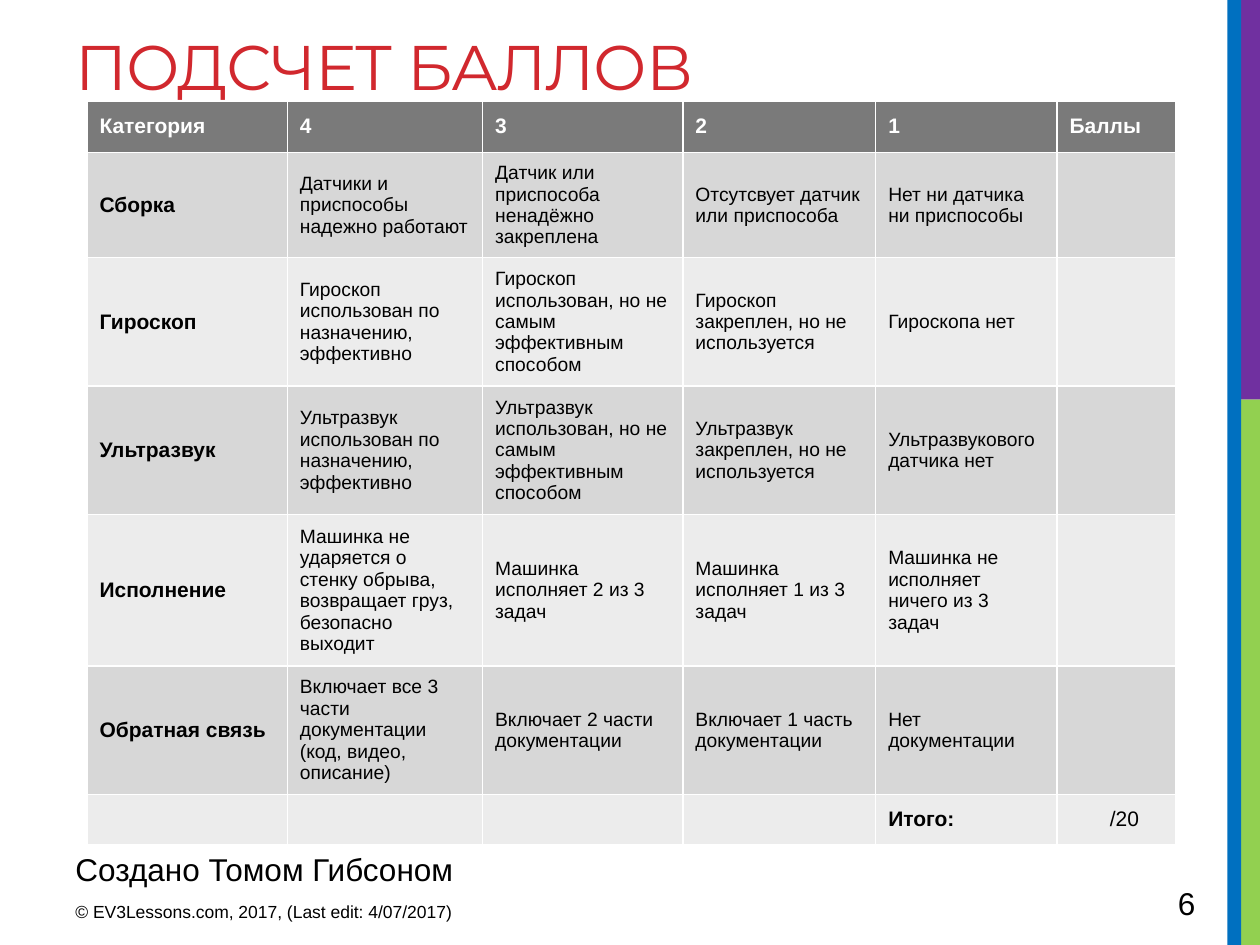
"""Build the scoring rubric slide."""
from typing import NamedTuple

from pptx import Presentation
from pptx.dml.color import RGBColor as Rgb
from pptx.enum.shapes import MSO_SHAPE as Shape
from pptx.enum.text import MSO_ANCHOR as Anchor, MSO_AUTO_SIZE as Fit, PP_ALIGN as Align
from pptx.util import Inches, Pt

HUES = {
    "blue": "0070C0", "green": "92D050", "violet": "7030A0", "red": "D1282E",
    "black": "000000", "white": "FFFFFF",
    "head": "7A7A7A", "dark": "D7D7D7", "light": "ECECEC",
}


class Box(NamedTuple):
    left: float
    top: float
    width: float
    height: float

    def place(self) -> tuple:
        return tuple(Inches(side) for side in self)


class Bar(NamedTuple):
    box: Box
    hue: str


class Note(NamedTuple):
    box: Box
    text: str
    size: int


BARS = [
    Bar(Box(9.84, 3.17, 0.16, 4.33), "green"),
    Bar(Box(9.8, 0, 0.2, 3.17), "violet"),
    Bar(Box(9.74, 0, 0.11, 7.5), "blue"),
]
NOTES = [
    Note(Box(0.5, 7.1, 3.75, 0.31), "© EV3Lessons.com, 2017, (Last edit: 4/07/2017)", 10),
    Note(Box(9.25, 6.97, 0.69, 0.4), "6", 18),
    Note(Box(0.5, 6.7, 6.99, 0.4), "Создано Томом Гибсоном", 18),
]
GRID = Box(0.69, 0.8, 8.64, 5.9)
WIDTHS = [1.59, 1.55, 1.59, 1.53, 1.44, 0.94]
HEIGHTS = [0.41, 0.83, 1.02, 1.02, 1.2, 1.02, 0.4]
ROWS = [
    ["Категория", "4", "3", "2", "1", "Баллы"],
    ["Сборка", "Датчики и приспособы надежно работают",
     "Датчик или приспособа ненадёжно закреплена",
     "Отсутсвует датчик или приспособа", "Нет ни датчика ни приспособы", ""],
    ["Гироскоп", "Гироскоп использован по назначению, эффективно",
     "Гироскоп использован, но не самым эффективным способом",
     "Гироскоп закреплен, но не используется", "Гироскопа нет", ""],
    ["Ультразвук", "Ультразвук использован по назначению, эффективно",
     "Ультразвук использован, но не самым эффективным способом",
     "Ультразвук закреплен, но не используется", "Ультразвукового датчика нет", ""],
    ["Исполнение",
     "Машинка не ударяется о стенку обрыва, возвращает груз, безопасно выходит",
     "Машинка исполняет 2 из 3 задач", "Машинка исполняет 1 из 3 задач",
     "Машинка не исполняет ничего из 3 задач", ""],
    ["Обратная связь", "Включает все 3 части документации (код, видео, описание)",
     "Включает 2 части документации", "Включает 1 часть документации",
     "Нет документации", ""],
    ["", "", "", "", "Итого:", "/20"],
]


def tint(hue: str) -> Rgb:
    return Rgb.from_string(HUES[hue])


def style(para, size: int, hue: str = "black", bold: bool = False,
          face: str = "Arial") -> None:
    font = para.font
    font.name, font.size, font.bold = face, Pt(size), bold
    font.color.rgb = tint(hue)


def draw_bar(slide, bar: Bar) -> None:
    rect = slide.shapes.add_shape(Shape.RECTANGLE, *bar.box.place())
    rect.shadow.inherit = False
    rect.fill.solid()
    rect.fill.fore_color.rgb = tint(bar.hue)
    rect.line.fill.background()


def draw_note(slide, note: Note) -> None:
    frame = slide.shapes.add_textbox(*note.box.place()).text_frame
    frame.word_wrap = True
    frame.text = note.text
    style(frame.paragraphs[0], note.size)


def draw_title(slide, text: str) -> None:
    title = slide.shapes.title
    title.left, title.top, title.width, title.height = Box(0.5, 0.17, 9.02, 1.5).place()
    frame = title.text_frame
    frame.text = text
    frame.auto_size = Fit.NONE
    frame.vertical_anchor = Anchor.TOP
    para = frame.paragraphs[0]
    para.alignment = Align.LEFT
    style(para, 36, "red", face="Montserrat")
    para.runs[0].font._element.set("spc", "-60")


def draw_grid(slide) -> None:
    table = slide.shapes.add_table(len(ROWS), len(WIDTHS), *GRID.place()).table
    for col, width in zip(table.columns, WIDTHS):
        col.width = Inches(width)
    last = len(ROWS) - 1
    for i, (row, texts) in enumerate(zip(table.rows, ROWS)):
        row.height = Inches(HEIGHTS[i])
        fill = "head" if i == 0 else "dark" if i % 2 else "light"
        for j, (cell, text) in enumerate(zip(row.cells, texts)):
            cell.fill.solid()
            cell.fill.fore_color.rgb = tint(fill)
            cell.vertical_anchor = Anchor.MIDDLE
            cell.text = text
            edge = i in (0, last)
            bold = i == 0 or j == 0 or text == "Итого:"
            style(cell.text_frame.paragraphs[0], 12 if edge or j == 0 else 11,
                  "black" if i else "white", bold)
    table.cell(last, len(WIDTHS) - 1).margin_left = Inches(0.42)


def main() -> None:
    deck = Presentation()
    deck.slide_width, deck.slide_height = Inches(10), Inches(7.5)
    slide = deck.slides.add_slide(deck.slide_layouts[5])
    for bar in BARS:
        draw_bar(slide, bar)
    draw_title(slide, "ПОДСЧЕТ БАЛЛОВ")
    for note in NOTES:
        draw_note(slide, note)
    draw_grid(slide)
    deck.save("out.pptx")


if __name__ == "__main__":
    main()
